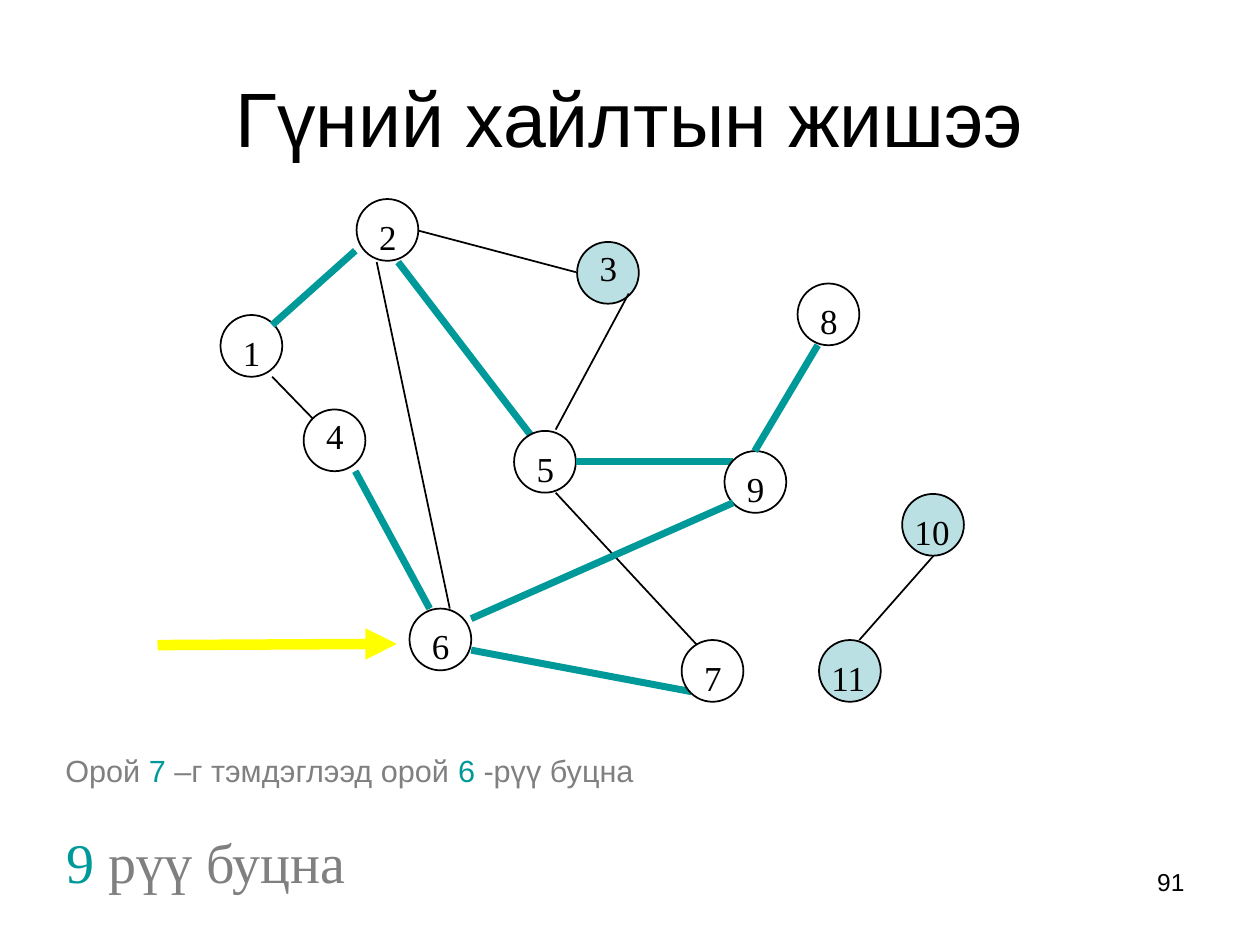
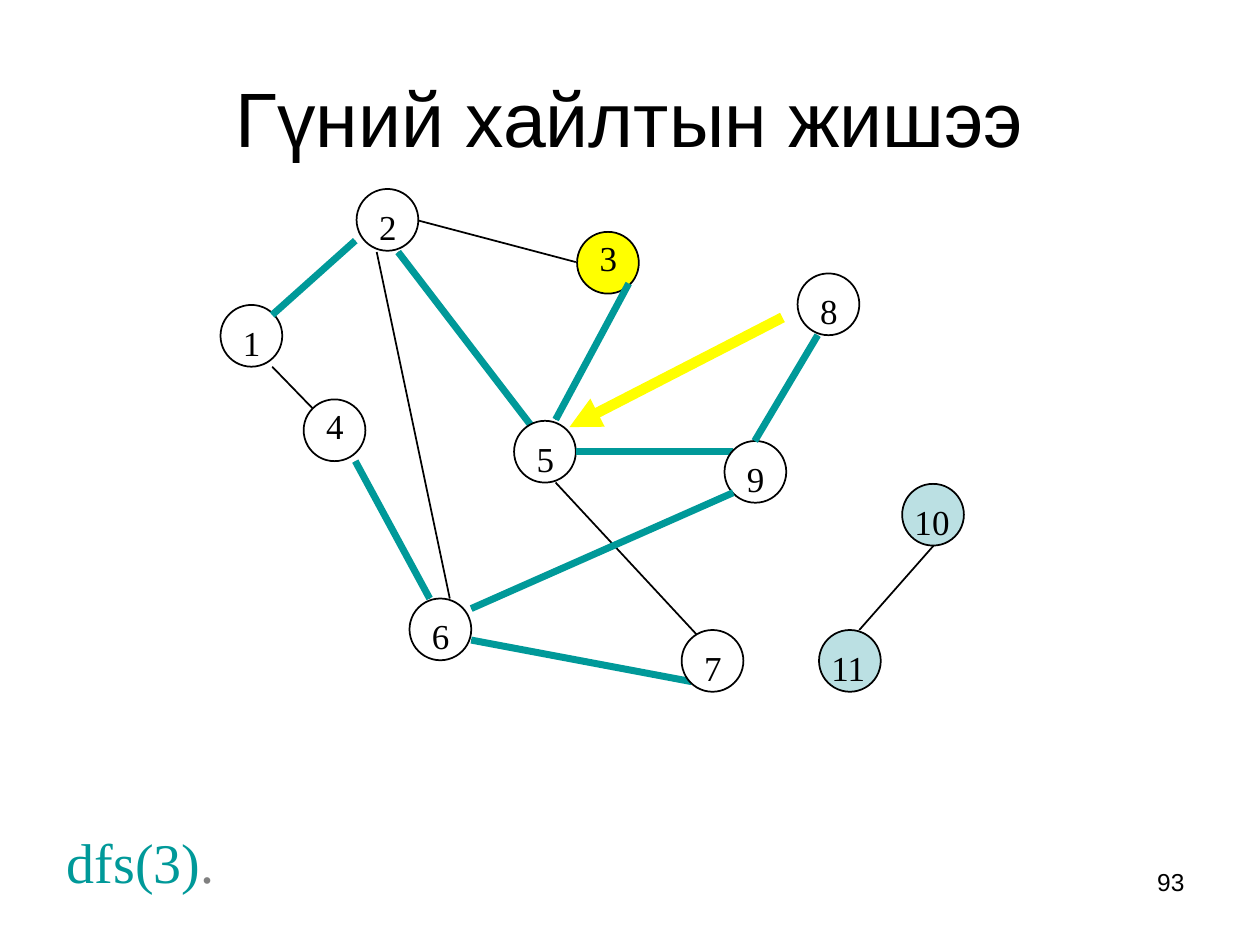
from lxml import etree
from pptx import Presentation
from pptx.dml.color import RGBColor
from pptx.enum import shapes, text
from pptx.oxml import ns
from pptx.util import Inches, Pt

COLORS = {"ink": "000000", "gray": "808080", "teal": "009999",
          "pale": "BBE0E3", "white": "FFFFFF", "yellow": "FFFF00"}
SANS, SERIF = "Arial", "Times New Roman"
TITLE = "Гүний хайлтын жишээ"
DIAMETER = 0.49

NODES = {1: (1.75, 2.5), 2: (2.83, 1.58), 3: (4.58, 1.92), 4: (2.41, 3.25),
         5: (4.08, 3.42), 6: (3.25, 4.83), 7: (5.41, 5.08), 8: (6.33, 2.25),
         9: (5.75, 3.58), 10: (7.16, 3.92), 11: (6.5, 5.08)}
LABEL_OFFSETS = {3: (0.08, -0.01), 4: (0.08, -0.01), 10: (0, 0.08), 11: (0, 0.08)}
LABEL_WIDTHS = {10: 0.5, 11: 0.83}

EDGES = {(1, 2): (2.16, 2.58, 2.82, 1.99), (2, 5): (3.16, 2.08, 4.24, 3.49),
         (1, 4): (2.16, 2.99, 2.49, 3.33), (6, 4): (3.41, 4.83, 2.82, 3.74),
         (6, 7): (3.74, 5.16, 5.49, 5.49), (5, 3): (4.41, 3.41, 4.99, 2.33),
         (5, 7): (4.41, 3.91, 5.57, 5.16), (9, 8): (5.99, 3.58, 6.49, 2.74),
         (10, 11): (7.41, 4.41, 6.82, 5.08), (5, 9): (4.57, 3.66, 5.82, 3.66),
         (2, 3): (3.32, 1.83, 4.57, 2.16), (2, 6): (2.99, 2.08, 3.57, 4.83),
         (9, 6): (5.82, 3.99, 3.74, 4.91)}
SEARCH_TREE = [(1, 2), (2, 5), (5, 9), (9, 8), (9, 6), (6, 4), (6, 7)]


def rgb(name):
    """Return the palette colour with this name."""
    return RGBColor.from_string(COLORS[name])


def add_text(page, area, spans, size, font=SANS, align=text.PP_ALIGN.LEFT,
             anchor=text.MSO_ANCHOR.TOP, wrap=True, grow=False):
    """Add a one-paragraph text box made of (words, colour) spans."""
    box = page.shapes.add_textbox(*map(Inches, area))
    frame = box.text_frame
    frame.word_wrap = wrap
    frame.vertical_anchor = anchor
    frame.auto_size = (text.MSO_AUTO_SIZE.SHAPE_TO_FIT_TEXT if grow
                       else text.MSO_AUTO_SIZE.NONE)
    para = frame.paragraphs[0]
    para.alignment = align
    para.font.size = Pt(size)
    para.font.name = font
    for words, color in spans:
        span = para.add_run()
        span.text = words
        span.font.color.rgb = rgb(color)
    return box


def add_line(page, ends, color="ink", width=1, drop=0, arrow=False):
    """Draw a straight line, moved down by drop, with an optional arrowhead."""
    x1, y1, x2, y2 = ends
    line = page.shapes.add_connector(
        shapes.MSO_CONNECTOR.STRAIGHT, Inches(x1), Inches(y1 + drop),
        Inches(x2), Inches(y2 + drop))
    line.line.color.rgb = rgb(color)
    line.line.width = Pt(width)
    if arrow:
        etree.SubElement(line.line._get_or_add_ln(), ns.qn("a:tailEnd"), type="triangle")
    etree.SubElement(line._element.spPr, ns.qn("a:effectLst"))


def add_node(page, number, fill, drop):
    """Draw the circle of a graph node and its number."""
    left, top = NODES[number]
    top += drop
    circle = page.shapes.add_shape(
        shapes.MSO_SHAPE.OVAL, Inches(left), Inches(top),
        Inches(DIAMETER), Inches(DIAMETER))
    circle.shadow.inherit = False
    circle.fill.solid()
    circle.fill.fore_color.rgb = rgb(fill)
    circle.line.color.rgb = rgb("ink")
    circle.line.width = Pt(1)
    right, down = LABEL_OFFSETS.get(number, (0.08, 0.08))
    area = (left + right, top + down, LABEL_WIDTHS.get(number, 0.25), 0.43)
    add_text(page, area, [(str(number), "ink")], 20, SERIF, grow=True)


def add_graph(page, unvisited, drop=0):
    """Draw the graph with the search tree up to node 7 highlighted."""
    for number in unvisited:
        add_node(page, number, "pale", drop)
    for ends in EDGES.values():
        add_line(page, ends, drop=drop)
    add_node(page, 1, "white", drop)
    for edge in SEARCH_TREE:
        add_line(page, EDGES[edge], "teal", 4, drop)
        add_node(page, edge[1], "white", drop)


def add_page(deck, number, status, status_width):
    """Add a slide with the shared title, status line and page number."""
    page = deck.slides.add_slide(deck.slide_layouts[6])
    add_text(page, (0.5, 0.3, 9, 1.25), [(TITLE, "ink")], 44,
             align=text.PP_ALIGN.CENTER, anchor=text.MSO_ANCHOR.MIDDLE)
    add_text(page, (0.43, 6.52, status_width, 0.63), status, 32, SERIF,
             wrap=False, grow=True)
    add_text(page, (7.17, 6.83, 2.33, 0.52), [(str(number), "ink")], 14,
             align=text.PP_ALIGN.RIGHT)
    return page


def add_backtrack_page(deck):
    """Build the slide that returns from node 7 to node 6."""
    page = add_page(deck, 91, [("9", "teal"), (" рүү буцна", "gray")], 2.44)
    add_text(page, (0.42, 5.92, 8.67, 0.42),
             [("Орой ", "gray"), ("7 ", "teal"), ("–г тэмдэглээд орой ", "gray"),
              ("6 ", "teal"), ("-рүү буцна", "gray")], 17.5)
    add_graph(page, [3, 10, 11])
    add_line(page, (1.25, 5.12, 3.15, 5.11), "yellow", 6, arrow=True)


def add_visit_page(deck):
    """Build the slide that visits node 3 from node 5."""
    drop = -0.08
    page = add_page(deck, 93, [("dfs(3)", "teal"), (".", "gray")], 1.38)
    add_graph(page, [10, 11], drop)
    add_line(page, (6.21, 2.52, 4.52, 3.39), "yellow", 6, arrow=True)
    add_node(page, 3, "yellow", drop)
    add_line(page, EDGES[5, 3], "teal", 4, drop)


def main():
    """Build and save the deck."""
    deck = Presentation()
    deck.slide_width, deck.slide_height = Inches(10), Inches(7.5)
    add_backtrack_page(deck)
    add_visit_page(deck)
    deck.save("out.pptx")


if __name__ == "__main__":
    main()
